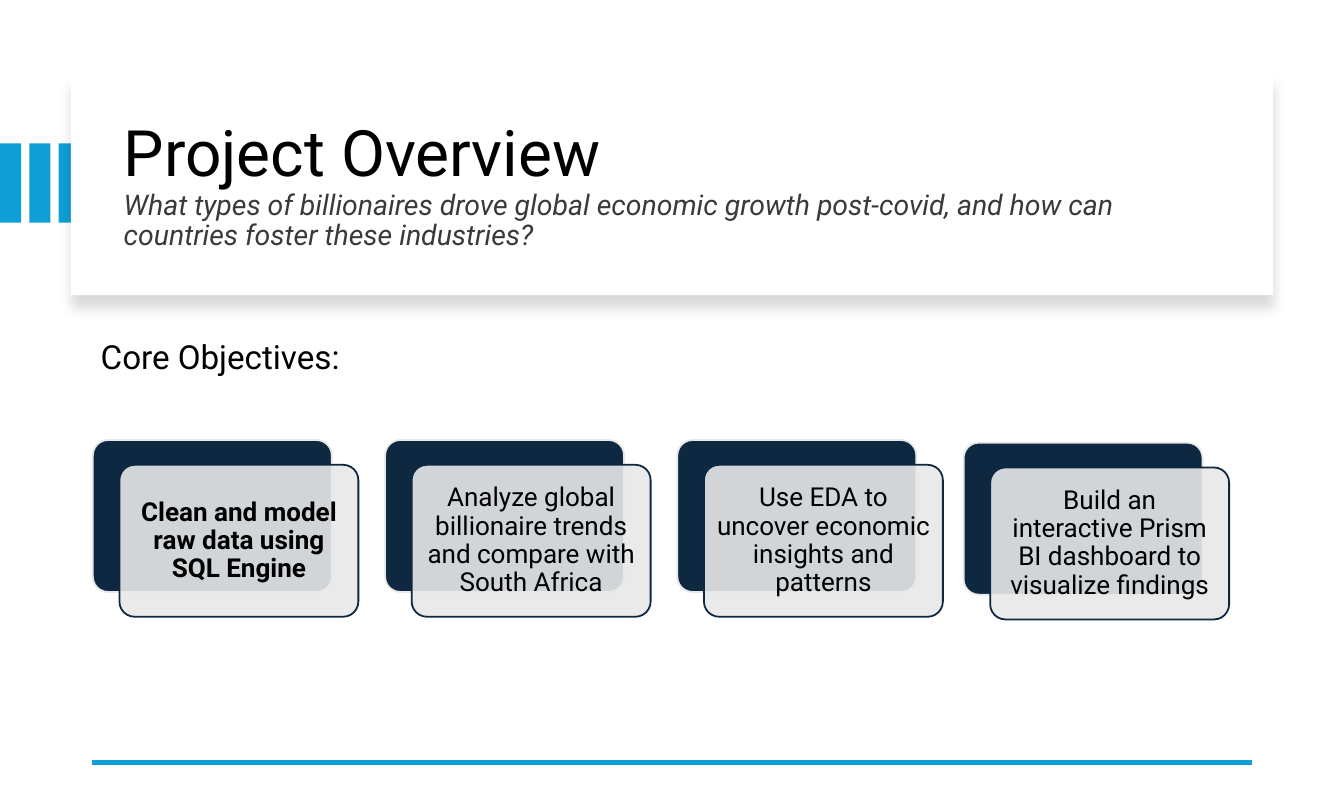
import pptx
import pptx.dml.color
import pptx.enum.shapes
import pptx.enum.text
import pptx.oxml
import pptx.oxml.ns
import pptx.util

COLS, ROWS, CELL = 45, 27, 0.35
SHAPE = pptx.enum.shapes.MSO_SHAPE
ANCHOR = pptx.enum.text.MSO_ANCHOR
ALIGN = pptx.enum.text.PP_ALIGN
BLUE, NAVY, GREY, WHITE, BLACK = "0F9ED5", "0E2841", "E8E8E8", "FFFFFF", "000000"


def grid(n):
    """Turn a number of grid cells into a length."""
    return pptx.util.Inches(n * CELL)


def rgb(value):
    """Turn a hex string into a colour."""
    return pptx.dml.color.RGBColor.from_string(value)


def xml(text):
    """Parse a DrawingML fragment."""
    return pptx.oxml.parse_xml(text.replace(">", f" {pptx.oxml.ns.nsdecls('a')}>", 1))


def add_box(slide, kind, box, fill, line=None):
    """Add a filled preset shape, outlined if a line colour is given."""
    sp = slide.shapes.add_shape(kind, *map(grid, box))
    sp.shadow.inherit = False
    sp.fill.solid()
    sp.fill.fore_color.rgb = rgb(fill)
    if line:
        sp.line.color.rgb = rgb(line)
        sp.line.width = pptx.util.Pt(1.5)
    else:
        sp.line.fill.background()
    return sp


def add_text(p, text, size, color=BLACK, bold=False, italic=False, align=ALIGN.LEFT):
    """Add a formatted run to a paragraph."""
    p.alignment = align
    p.line_spacing = 0.9
    r = p.add_run()
    r.text = text
    r.font.name = "Roboto"
    r.font.size = pptx.util.Pt(size)
    r.font.bold, r.font.italic = bold, italic
    r.font.color.rgb = rgb(color)


def add_paragraph_box(slide, box, anchor):
    """Add a wrapping text box and return its first paragraph."""
    tf = slide.shapes.add_textbox(*map(grid, box)).text_frame
    tf.word_wrap = True
    tf.vertical_anchor = anchor
    return tf.paragraphs[0]


def add_stripes(slide, box, count=3, pitch=0.98):
    """Fill the box with evenly spaced accent stripes."""
    x, y, w, h = box
    width = w - (count - 1) * pitch
    for i in range(count):
        add_box(slide, SHAPE.RECTANGLE, (x + i * pitch, y, width, h), BLUE)


def add_header(slide, box, title, question):
    """Add the raised panel with the title and its question."""
    x, y, w, h = box
    panel = add_box(slide, SHAPE.RECTANGLE, box, WHITE)
    effects = panel._element.spPr.find(pptx.oxml.ns.qn("a:effectLst"))
    effects.append(xml(
        '<a:outerShdw blurRad="139700" dist="127000" dir="5400000" algn="t" rotWithShape="0">'
        '<a:srgbClr val="000000"><a:alpha val="15000"/></a:srgbClr></a:outerShdw>'))
    p = add_paragraph_box(slide, (x + 1.49, y + 0.77, w - 2.72, h - 1.35), ANCHOR.MIDDLE)
    add_text(p, title, 54)
    p.add_line_break()
    add_text(p, question, 24, color="3A3A3A", italic=True)


def add_card(slide, box, text, bold=False):
    """Add a dark plate with a translucent text plate shifted over it."""
    x, y, w, h = box
    back = add_box(slide, SHAPE.ROUNDED_RECTANGLE, box, NAVY, GREY)
    front = add_box(slide, SHAPE.ROUNDED_RECTANGLE, (x + 0.89, y + 0.83, w, h), GREY, NAVY)
    back.adjustments[0] = front.adjustments[0] = 0.1
    fill = front._element.spPr.find(pptx.oxml.ns.qn("a:solidFill"))
    fill[0].append(xml('<a:alpha val="90000"></a:alpha>'))
    tf = front.text_frame
    tf.word_wrap = True
    tf.vertical_anchor = ANCHOR.MIDDLE
    tf.margin_left = tf.margin_right = pptx.util.Inches(0.08)
    add_text(tf.paragraphs[0], text, 22, bold=bold, align=ALIGN.CENTER)


def add_objectives(slide, box):
    """Add the row of objective cards, the last one slightly offset."""
    x, y, w, h = box
    cards = [
        ("Clean and model raw data using SQL Engine", 0, 0),
        ("Analyze global billionaire trends and compare with South Africa", 0, 0),
        ("Use EDA to uncover economic insights and patterns", 0, 0),
        ("Build an interactive Prism BI dashboard to visualize findings", -0.2, 0.09),
    ]
    pitch = w / len(cards)
    for i, (text, dx, dy) in enumerate(cards):
        add_card(slide, (x + i * pitch + dx, y + dy, 8, h), text, bold=i == 0)


def add_rule(slide, left, right, y):
    """Add the closing accent line."""
    line = slide.shapes.add_connector(
        pptx.enum.shapes.MSO_CONNECTOR.STRAIGHT, grid(left), grid(y), grid(right), grid(y))
    line.line.color.rgb = rgb(BLUE)
    line.line.width = pptx.util.Pt(4.5)
    line._element.spPr.append(xml("<a:effectLst></a:effectLst>"))


def main():
    """Build the project overview slide."""
    prs = pptx.Presentation()
    prs.slide_width, prs.slide_height = grid(COLS), grid(ROWS)
    slide = prs.slides.add_slide(prs.slide_layouts[6])
    add_stripes(slide, (0, 4.8, 2.67, 2.66))
    add_header(
        slide, (2.37, 2.43, 40.26, 7.46), "Project Overview",
        "What types of billionaires drove global economic growth post-covid, "
        "and how can countries foster these industries?")
    add_rule(slide, 3.09, 41.91, 25.54)
    add_objectives(slide, (3.11, 14.74, 39.14, 5.09))
    heading = add_paragraph_box(slide, (3.09, 10.31, 37.54, 2.46), ANCHOR.BOTTOM)
    add_text(heading, "Core Objectives:", 28)
    prs.save("out.pptx")


if __name__ == "__main__":
    main()
